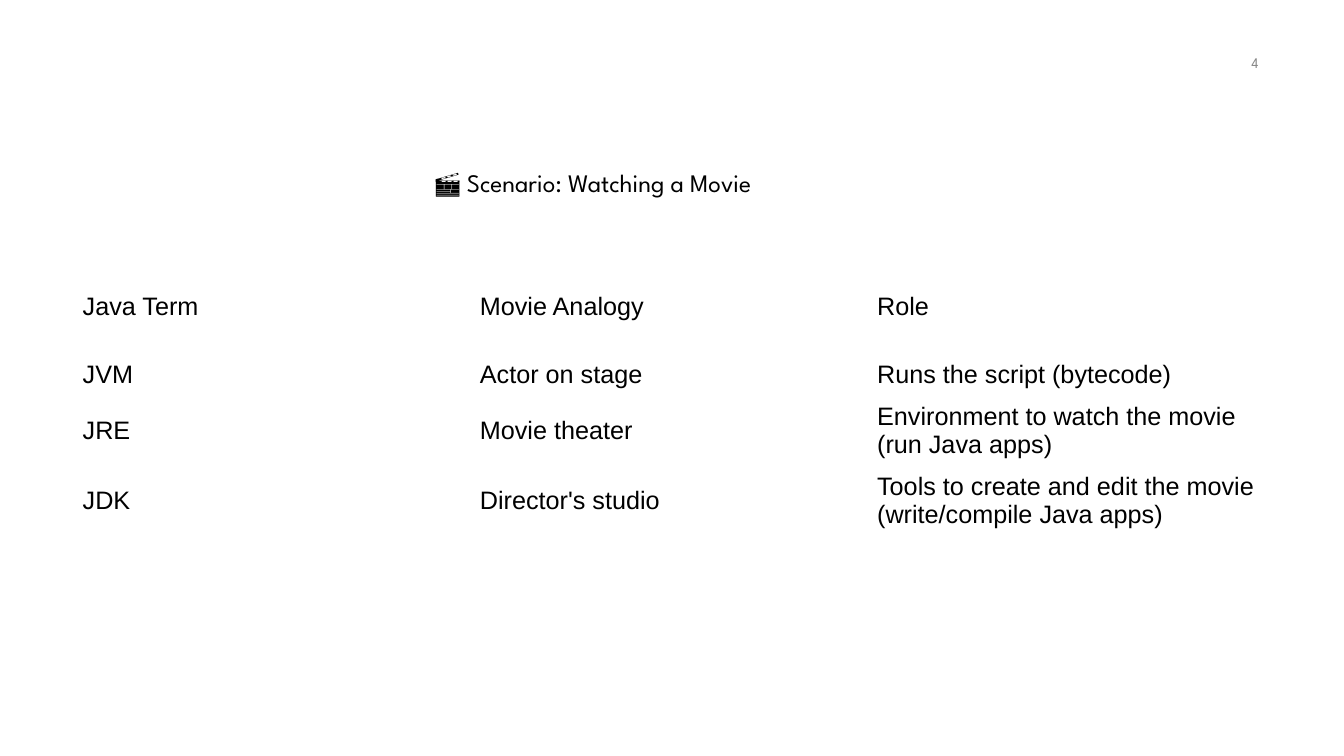
from pptx import Presentation
from pptx.dml.color import RGBColor
from pptx.enum.text import MSO_ANCHOR as Anchor, MSO_AUTO_SIZE as AutoSize, PP_ALIGN as Align
from pptx.util import Inches, Pt

ANALOGIES = [
    ("Java Term", "Movie Analogy", "Role"),
    ("JVM", "Actor on stage", "Runs the script (bytecode)"),
    ("JRE", "Movie theater", "Environment to watch the movie (run Java apps)"),
    ("JDK", "Director's studio", "Tools to create and edit the movie (write/compile Java apps)"),
]
HEADER_HEIGHT, ROW_HEIGHT = 0.96, 0.25


def color(hex_value):
    """Return the colour for a hex string."""
    return RGBColor.from_string(hex_value)


def write(frame, text, size, font, hex_value, align=Align.LEFT):
    """Put one formatted paragraph into a text frame."""
    frame.text = text
    paragraph = frame.paragraphs[0]
    paragraph.alignment = align
    run_font = paragraph.runs[0].font
    run_font.size, run_font.name = Pt(size), font
    run_font.bold = False
    run_font.color.rgb = color(hex_value)


def add_heading(slide, left, top, width, height):
    """Place the scenario title in the given box."""
    heading = slide.shapes.title
    heading.left, heading.top = Inches(left), Inches(top)
    heading.width, heading.height = Inches(width), Inches(height)
    frame = heading.text_frame
    write(frame, "🎬 Scenario: Watching a Movie", 18, "League Spartan", "000000")
    frame.word_wrap = True
    frame.vertical_anchor = Anchor.TOP
    frame.auto_size = AutoSize.SHAPE_TO_FIT_TEXT


def add_analogy_table(slide, left, top, width, height):
    """Place the unfilled comparison table in the given box."""
    table = slide.shapes.add_table(
        len(ANALOGIES), len(ANALOGIES[0]),
        Inches(left), Inches(top), Inches(width), Inches(height)).table
    table.first_row = table.horz_banding = False
    for row_index, terms in enumerate(ANALOGIES):
        table.rows[row_index].height = Inches(ROW_HEIGHT if row_index else HEADER_HEIGHT)
        for column_index, term in enumerate(terms):
            cell = table.cell(row_index, column_index)
            cell.fill.background()
            cell.vertical_anchor = Anchor.MIDDLE
            write(cell.text_frame, term, 18, "Arial", "000000")


def add_page_number(slide, left, top, width, height):
    """Place the right-aligned page number in the given box."""
    frame = slide.shapes.add_textbox(
        Inches(left), Inches(top), Inches(width), Inches(height)).text_frame
    frame.word_wrap = True
    frame.vertical_anchor = Anchor.MIDDLE
    write(frame, "4", 10.5, "League Spartan", "888888", Align.RIGHT)


def main():
    """Build and save the movie analogy slide."""
    deck = Presentation()
    deck.slide_width, deck.slide_height = Inches(13.33), Inches(7.5)
    slide = deck.slides.add_slide(deck.slide_layouts[5])
    add_analogy_table(slide, 0.72, 2.56, 11.82, HEADER_HEIGHT + 3 * ROW_HEIGHT)
    add_heading(slide, 4.21, 1.61, 3.99, 0.4)
    add_page_number(slide, 9.58, 0.42, 3, 0.4)
    deck.save("out.pptx")


if __name__ == "__main__":
    main()
